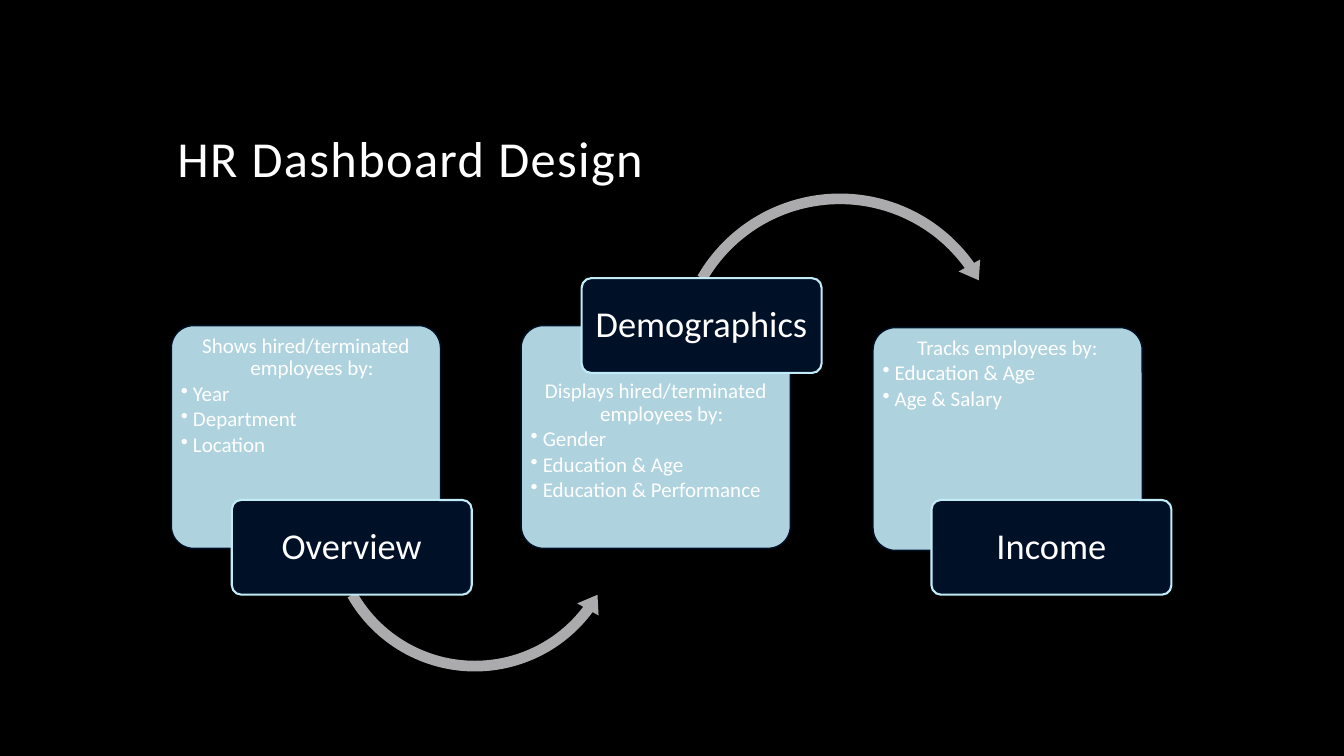
from dataclasses import dataclass
from typing import Optional

import pptx
import pptx.dml.color
import pptx.enum.shapes
import pptx.enum.text
import pptx.oxml.ns
import pptx.util
from lxml import etree
from pptx.shapes.autoshape import Shape
from pptx.slide import Slide

SHAPES = pptx.enum.shapes.MSO_SHAPE
ALIGN = pptx.enum.text.PP_ALIGN
ANCHOR = pptx.enum.text.MSO_ANCHOR
qn = pptx.oxml.ns.qn
Inches = pptx.util.Inches
Pt = pptx.util.Pt

SLIDE_WIDTH = Inches(13.33)
SLIDE_HEIGHT = Inches(7.5)


@dataclass(frozen=True)
class Theme:
    font: str = "Calibri"
    background: str = "000000"
    text: str = "FFFFFF"
    navy: str = "001027"
    ice: str = "C1EBF7"
    arrow: str = "ABABAD"
    title_size: int = 36
    label_size: int = 26
    detail_size: int = 15
    line_spacing: float = 0.9


THEME = Theme()


@dataclass(frozen=True)
class Box:
    """A rectangle in percent of the slide's width and height."""
    left: float
    top: float
    width: float
    height: float

    def emu(self) -> tuple[int, int, int, int]:
        return (int(SLIDE_WIDTH * self.left / 100), int(SLIDE_HEIGHT * self.top / 100),
                int(SLIDE_WIDTH * self.width / 100), int(SLIDE_HEIGHT * self.height / 100))


@dataclass(frozen=True)
class Arc:
    kind: SHAPES
    box: Box
    adjustments: tuple[float, ...]


@dataclass(frozen=True)
class Stage:
    name: str
    intro: str
    topics: tuple[str, ...]
    label_on_top: bool = False
    card_shift: tuple[float, float] = (0, 0)
    arc: Optional[Arc] = None


TITLE_BOX = Box(12.45, 5.6, 75.02, 20)
STAGE_PITCH = 26.03
FIRST_CARD = Box(12.75, 43.07, 20.03, 29.47)
FIRST_LABEL = Box(17.25, 66.13, 17.85, 12.53)
HIGH_LABEL_TOP = 36.8

STAGES = (
    Stage("Overview", "Shows hired/terminated employees by:",
          ("Year", "Department", "Location"),
          arc=Arc(SHAPES.LEFT_CIRCULAR_ARROW, Box(23.93, 49.2, 22.81, 40.53),
                  (0.035, 4.277, 22.032, 90.245, 0.04))),
    Stage("Demographics", "Displays hired/terminated employees by:",
          ("Gender", "Education & Age", "Education & Performance"),
          label_on_top=True,
          arc=Arc(SHAPES.CIRCULAR_ARROW, Box(49.74, 24.67, 25.51, 45.33),
                  (0.031, 3.785, 194.698, 125.994, 0.036))),
    Stage("Income", "Tracks employees by:", ("Education & Age", "Age & Salary"),
          card_shift=(0.15, 0.27)),
)


def rgb(value: str) -> pptx.dml.color.RGBColor:
    return pptx.dml.color.RGBColor.from_string(value)


def style_font(paragraph, size: int) -> None:
    for run in paragraph.runs:
        run.font.name = THEME.font
        run.font.size = Pt(size)
        run.font.color.rgb = rgb(THEME.text)


def add_filled(slide: Slide, kind: SHAPES, box: Box, fill: str,
               adjustments: tuple[float, ...]) -> Shape:
    shape = slide.shapes.add_shape(kind, *box.emu())
    shape.shadow.inherit = False
    for index, value in enumerate(adjustments):
        shape.adjustments[index] = value
    shape.fill.solid()
    shape.fill.fore_color.rgb = rgb(fill)
    shape.line.fill.background()
    return shape


def add_panel(slide: Slide, box: Box, fill: str, outline: str, weight: float,
              inset_x: float, inset_y: float) -> Shape:
    """Add an outlined rounded rectangle ready to hold wrapped text."""
    panel = add_filled(slide, SHAPES.ROUNDED_RECTANGLE, box, fill, (0.1,))
    panel.line.color.rgb = rgb(outline)
    panel.line.width = Pt(weight)
    frame = panel.text_frame
    frame.word_wrap = True
    frame.margin_left = frame.margin_right = Inches(inset_x)
    frame.margin_top = frame.margin_bottom = Inches(inset_y)
    return panel


def add_card(slide: Slide, stage: Stage, column: int) -> None:
    shift_x, shift_y = stage.card_shift
    box = Box(FIRST_CARD.left + column * STAGE_PITCH + shift_x, FIRST_CARD.top + shift_y,
              FIRST_CARD.width, FIRST_CARD.height)
    card = add_panel(slide, box, THEME.ice, THEME.navy, 1, 0.03, 0.03)
    fill_color = card.fill._xPr.find(qn("a:solidFill"))[0]
    etree.SubElement(fill_color, qn("a:alpha"), val="90000")

    frame = card.text_frame
    frame.vertical_anchor = ANCHOR.TOP
    if stage.label_on_top:
        frame.margin_top = Inches(0.48)
    frame.text = "\n".join((stage.intro, *stage.topics))
    for index, paragraph in enumerate(frame.paragraphs):
        properties = paragraph._p.get_or_add_pPr()
        properties.set("marL", str(Inches(0.12)))
        properties.set("indent", str(-Inches(0.12)))
        if index:
            etree.SubElement(properties, qn("a:buChar"), char="•")
        paragraph.level = 1
        paragraph.alignment = ALIGN.LEFT if index else ALIGN.CENTER
        paragraph.line_spacing = THEME.line_spacing
        paragraph.space_after = Pt(2)
        style_font(paragraph, THEME.detail_size)


def add_label(slide: Slide, stage: Stage, column: int) -> None:
    top = HIGH_LABEL_TOP if stage.label_on_top else FIRST_LABEL.top
    box = Box(FIRST_LABEL.left + column * STAGE_PITCH, top,
              FIRST_LABEL.width, FIRST_LABEL.height)
    label = add_panel(slide, box, THEME.navy, THEME.ice, 1.5, 0.05, 0.04)
    frame = label.text_frame
    frame.vertical_anchor = ANCHOR.MIDDLE
    frame.text = stage.name
    paragraph = frame.paragraphs[0]
    paragraph.alignment = ALIGN.CENTER
    paragraph.line_spacing = THEME.line_spacing
    style_font(paragraph, THEME.label_size)


def set_title(slide: Slide, wording: str) -> None:
    title = slide.shapes.title
    title.left, title.top, title.width, title.height = TITLE_BOX.emu()
    frame = title.text_frame
    frame.text = wording
    frame.word_wrap = True
    frame.auto_size = pptx.enum.text.MSO_AUTO_SIZE.NONE
    frame.vertical_anchor = ANCHOR.BOTTOM
    paragraph = frame.paragraphs[0]
    paragraph.alignment = ALIGN.LEFT
    paragraph.line_spacing = THEME.line_spacing
    style_font(paragraph, THEME.title_size)
    paragraph.runs[0]._r.get_or_add_rPr().set("spc", "100")


def main() -> None:
    deck = pptx.Presentation()
    deck.slide_width, deck.slide_height = SLIDE_WIDTH, SLIDE_HEIGHT
    slide = deck.slides.add_slide(deck.slide_layouts.get_by_name("Title Only"))
    slide.background.fill.solid()
    slide.background.fill.fore_color.rgb = rgb(THEME.background)

    set_title(slide, "HR Dashboard Design")
    for column, stage in enumerate(STAGES):
        add_card(slide, stage, column)
        if stage.arc:
            add_filled(slide, stage.arc.kind, stage.arc.box, THEME.arrow,
                       stage.arc.adjustments)
        add_label(slide, stage, column)
    deck.save("out.pptx")


if __name__ == "__main__":
    main()
